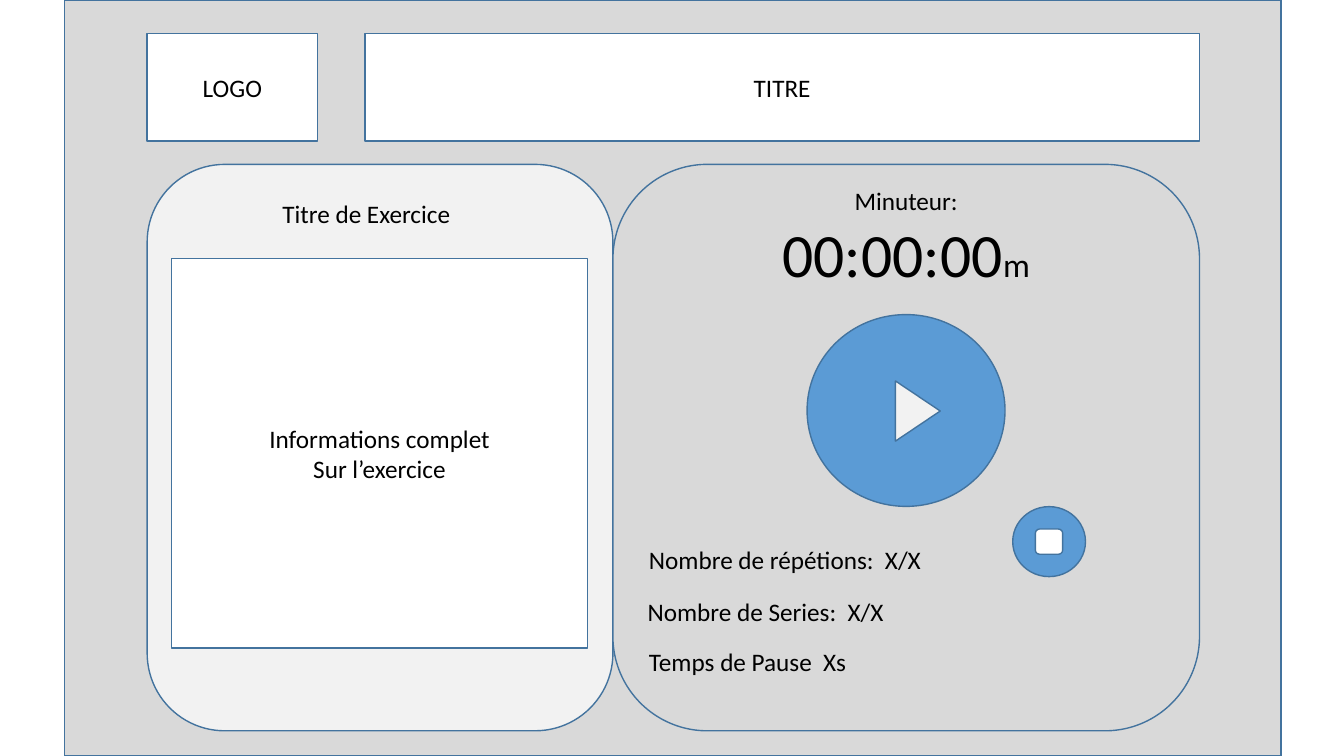
from dataclasses import dataclass

from pptx import Presentation
from pptx.dml.color import RGBColor
from pptx.enum.shapes import MSO_SHAPE as Preset
from pptx.enum.text import MSO_ANCHOR as Anchor, MSO_AUTO_SIZE as AutoSize, PP_ALIGN as Align
from pptx.util import Pt


@dataclass(frozen=True)
class Theme:
    font: str = "Calibri"
    text: RGBColor = RGBColor(0x00, 0x00, 0x00)
    outline: RGBColor = RGBColor(0x43, 0x73, 0x9E)
    white: RGBColor = RGBColor(0xFF, 0xFF, 0xFF)
    light: RGBColor = RGBColor(0xF2, 0xF2, 0xF2)
    grey: RGBColor = RGBColor(0xD9, 0xD9, 0xD9)
    button: RGBColor = RGBColor(0x5B, 0x9B, 0xD5)
    body_size: int = 18
    unit_size: int = 24
    timer_size: int = 44


THEME = Theme()
LEFT, RIGHT = 105.1, 856.8
HEADER_TOP, HEADER_HEIGHT = 23.8, 77
TITLE_LEFT = 260.6
CARD_TOP, CARD_HEIGHT = 117.4, 404.6
CARD_SPLIT = 437.8


def write(shape, paragraphs, align=Align.CENTER):
    """Fill a shape with paragraphs, each a list of (text, size) runs."""
    frame = shape.text_frame
    frame.word_wrap = True
    for index, runs in enumerate(paragraphs):
        paragraph = frame.add_paragraph() if index else frame.paragraphs[0]
        paragraph.alignment = align
        for text, size in runs:
            run = paragraph.add_run()
            run.text = text
            run.font.name = THEME.font
            run.font.size = Pt(size)
            run.font.color.rgb = THEME.text


def body(*lines):
    return [[(line, THEME.body_size)] for line in lines]


def paint(shape, fill):
    shape.fill.solid()
    shape.fill.fore_color.rgb = fill
    shape.line.color.rgb = THEME.outline
    shape.line.width = Pt(1)


def add_box(slide, preset, left, top, width, height, fill, lines=()):
    shape = slide.shapes.add_shape(preset, Pt(left), Pt(top), Pt(width), Pt(height))
    shape.shadow.inherit = False
    paint(shape, fill)
    if lines:
        shape.text_frame.vertical_anchor = Anchor.MIDDLE
        write(shape, body(*lines))
    return shape


def add_label(slide, left, top, width, height, paragraphs, align=Align.CENTER):
    label = slide.shapes.add_textbox(Pt(left), Pt(top), Pt(width), Pt(height))
    label.text_frame.auto_size = AutoSize.SHAPE_TO_FIT_TEXT
    write(label, paragraphs, align)


def add_header(slide, background):
    title = slide.shapes.title
    background.element.addnext(title.element)  # the title sits above the background
    title.left, title.top = Pt(TITLE_LEFT), Pt(HEADER_TOP)
    title.width, title.height = Pt(RIGHT - TITLE_LEFT), Pt(HEADER_HEIGHT)
    paint(title, THEME.white)
    title.text_frame.auto_size = AutoSize.NONE
    title.text_frame.vertical_anchor = Anchor.MIDDLE
    write(title, body("TITRE"))
    add_box(slide, Preset.RECTANGLE, LEFT, HEADER_TOP, 121.7, HEADER_HEIGHT,
            THEME.white, ["LOGO"])


def add_exercise_card(slide):
    add_box(slide, Preset.ROUNDED_RECTANGLE, LEFT, CARD_TOP, CARD_SPLIT - LEFT,
            CARD_HEIGHT, THEME.light)
    add_label(slide, 165.6, 138.2, 192.2, 29, body("Titre de Exercice"))
    add_box(slide, Preset.RECTANGLE, 122.4, 184.5, 297.4, 278.5, THEME.white,
            ["Informations complet", "Sur l’exercice"])


def add_timer_card(slide):
    add_box(slide, Preset.ROUNDED_RECTANGLE, CARD_SPLIT, CARD_TOP, RIGHT - CARD_SPLIT,
            CARD_HEIGHT, THEME.grey)

    add_box(slide, Preset.OVAL, 576.5, 224.7, 141.4, 137, THEME.button)
    play = add_box(slide, Preset.ISOSCELES_TRIANGLE, 634.1, 277.6, 43, 32, THEME.light)
    play.rotation = 90

    add_box(slide, Preset.OVAL, 723.4, 361.9, 52, 50, THEME.button)
    add_box(slide, Preset.ROUNDED_RECTANGLE, 739.6, 377.9, 19.5, 18, THEME.white)

    counters = [
        (456.5, 385.2, "Nombre de répétions:  X/X"),
        (455.5, 422.5, "Nombre de Series:  X/X"),
        (456.5, 458, "Temps de Pause  Xs"),
    ]
    for left, top, text in counters:
        add_label(slide, left, top, 233.3, 29, body(text), Align.LEFT)

    timer = [("00:00:00", THEME.timer_size), ("m", THEME.unit_size)]
    add_label(slide, 545.8, 129, 203, 82, body("Minuteur:") + [timer])


def main():
    presentation = Presentation()
    presentation.slide_width, presentation.slide_height = Pt(960), Pt(540)
    title_only = presentation.slide_layouts[5]
    slide = presentation.slides.add_slide(title_only)
    background = add_box(slide, Preset.RECTANGLE, 46, 0, 869, 540, THEME.grey)
    add_header(slide, background)
    add_exercise_card(slide)
    add_timer_card(slide)
    presentation.save("out.pptx")


if __name__ == "__main__":
    main()
